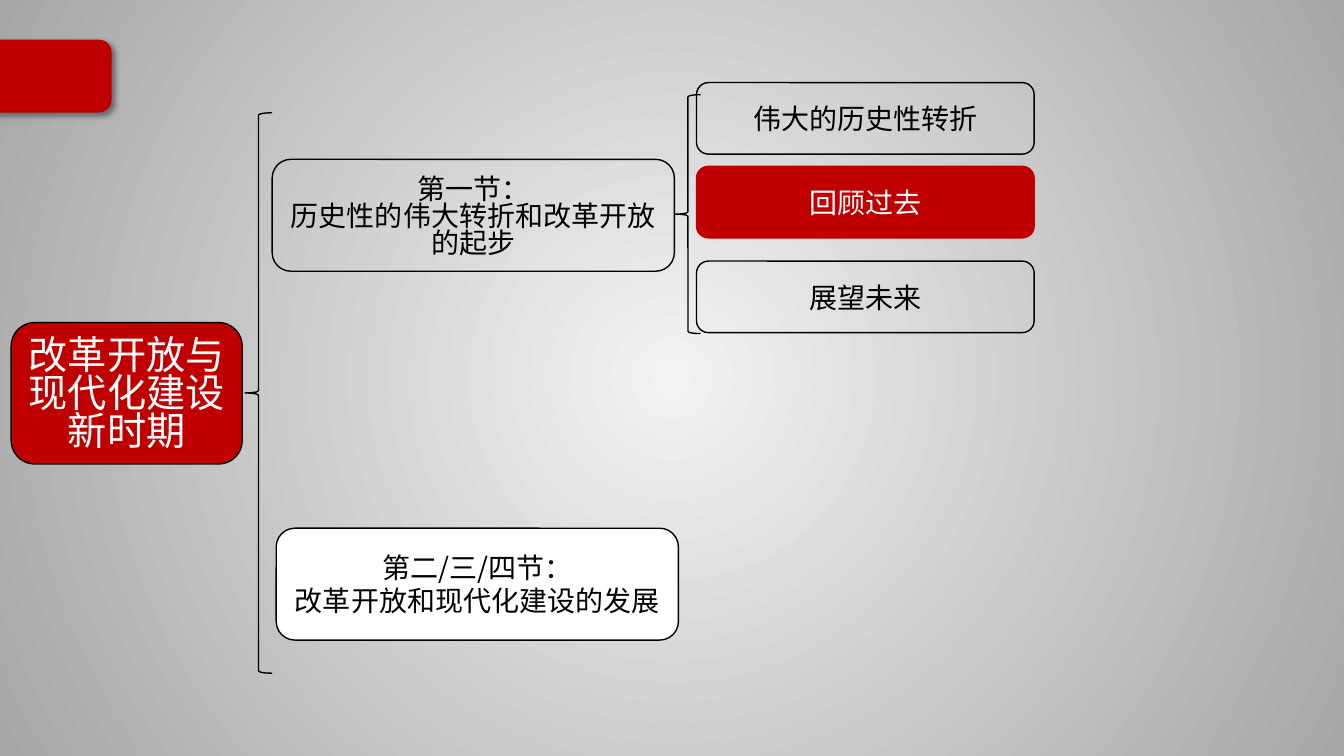
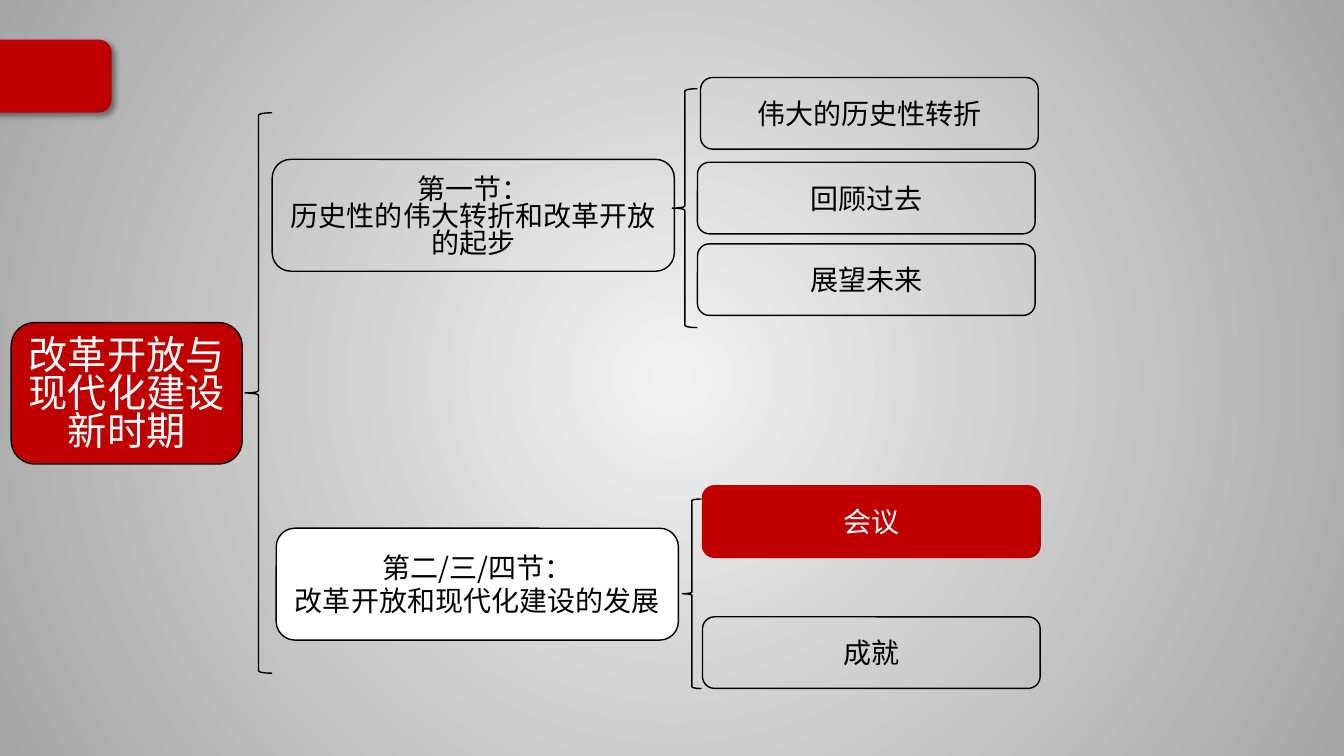
from lxml.etree import SubElement
from pptx import Presentation
from pptx.dml.color import RGBColor
from pptx.enum.shapes import MSO_SHAPE
from pptx.enum.text import MSO_ANCHOR, PP_ALIGN
from pptx.oxml import parse_xml
from pptx.oxml.ns import nsdecls, qn
from pptx.util import Pt

HUES = {"red": "C00000", "black": "000000", "white": "FFFFFF",
        "light": "F2F2F2", "dark": "A6A6A6"}
FONT = "Noto Sans CJK SC"
LEAF = (241.2, 51.1)
NODE = (287.3, 79.9)
PAST = "回顾过去"
MEET = "会议"

FIRST = ["伟大的历史性转折", PAST, "展望未来"]
LATER = [MEET, "成就"]

PAGES = [
    {"active": PAST, "groups": [
        ((482.4, 67.7, 18, 170.6), FIRST,
         [(497.5, 59), (497.5, 118.8), (497.5, 186.5)])]},
    {"active": MEET, "groups": [
        ((480.2, 63.4, 18, 170.6), FIRST,
         [(500.4, 55.4), (498.2, 115.9), (498.2, 174.2)]),
        ((487.4, 356.4, 13.7, 135.4), LATER,
         [(501.8, 347), (501.8, 440.6)])]},
]


def color(name):
    return RGBColor.from_string(HUES[name])


def add_form(slide, kind, box, fill=None, line="black"):
    form = slide.shapes.add_shape(kind, *[Pt(n) for n in box])
    form.shadow.inherit = False
    if fill:
        form.fill.solid()
        form.fill.fore_color.rgb = color(fill)
    else:
        form.fill.background()
    form.line.color.rgb = color(line)
    form.line.width = Pt(1)
    return form


def add_brace(slide, box):
    add_form(slide, MSO_SHAPE.LEFT_BRACE, box)


def add_box(slide, text, box, size=20, fill=None, line="black", gap=0, tight=False):
    frame = add_form(slide, MSO_SHAPE.ROUNDED_RECTANGLE, box, fill, line).text_frame
    frame.word_wrap = True
    frame.vertical_anchor = MSO_ANCHOR.MIDDLE
    frame.text = text
    if tight:
        frame.margin_top, frame.margin_bottom = Pt(4), Pt(0)
    for rank, para in enumerate(frame.paragraphs):
        para.alignment = PP_ALIGN.CENTER
        if tight:
            para.line_spacing = 0.81
        if rank and gap:
            para.space_before = Pt(gap)
        for run in para.runs:
            font = run.font
            font.name = FONT
            font.size = Pt(size)
            font.color.rgb = color("white" if fill == "red" else "black")
            SubElement(run._r.get_or_add_rPr(), qn("a:ea")).set("typeface", FONT)


def add_leaf(slide, text, spot, active):
    look = {"fill": "red", "line": "red"} if active else {}
    add_box(slide, text, (*spot, *LEAF), **look)


def style_back(master):
    fill = master.background.fill
    fill.gradient()
    for stop, name, place in zip(fill.gradient_stops, ("light", "dark"), (0, 1)):
        stop.color.rgb = color(name)
        stop.position = place
    grad = master.element.find(".//" + qn("a:gradFill"))
    grad.remove(grad.find(qn("a:lin")))
    route = SubElement(grad, qn("a:path"), {"path": "circle"})
    SubElement(route, qn("a:fillToRect"), dict.fromkeys("ltrb", "50000"))


def move_tab(slide, master):
    tab = add_form(slide, MSO_SHAPE.ROUNDED_RECTANGLE,
                   (-13, 28.8, 92.2, 51.1), "red", "red")
    props = tab._element.spPr
    props.remove(props.find(qn("a:effectLst")))
    props.append(parse_xml(
        f'<a:effectLst {nsdecls("a")}>'
        f'<a:outerShdw blurRad="{Pt(4)}" dist="{Pt(3)}" dir="2700000" '
        f'algn="tl" rotWithShape="0"><a:srgbClr val="{HUES["black"]}">'
        '<a:alpha val="40000"/></a:srgbClr></a:outerShdw></a:effectLst>'))
    master.shapes._spTree.append(tab._element)


def add_trunk(slide):
    add_box(slide, "改革开放与现代化建设新时期", (8, 230.4, 165, 101),
            size=28, fill="red", tight=True)
    add_brace(slide, (175, 80.6, 19.4, 400.3))
    add_box(slide, "第一节：\n历史性的伟大转折和改革开放的起步",
            (194.4, 113.8, *NODE), tight=True)
    add_box(slide, "第二/三/四节：\n改革开放和现代化建设的发展",
            (197.3, 377.3, *NODE), fill="white", gap=4, tight=True)


def add_group(slide, brace, names, spots, active):
    add_brace(slide, brace)
    for name, spot in zip(names, spots):
        add_leaf(slide, name, spot, name == active)


def main():
    deck = Presentation()
    deck.slide_width, deck.slide_height = Pt(960), Pt(540)
    master = deck.slide_master
    style_back(master)
    for rank, page in enumerate(PAGES):
        slide = deck.slides.add_slide(deck.slide_layouts[6])
        if rank == 0:
            move_tab(slide, master)
        add_trunk(slide)
        for group in page["groups"]:
            add_group(slide, *group, page["active"])
    deck.save("out.pptx")


if __name__ == "__main__":
    main()
